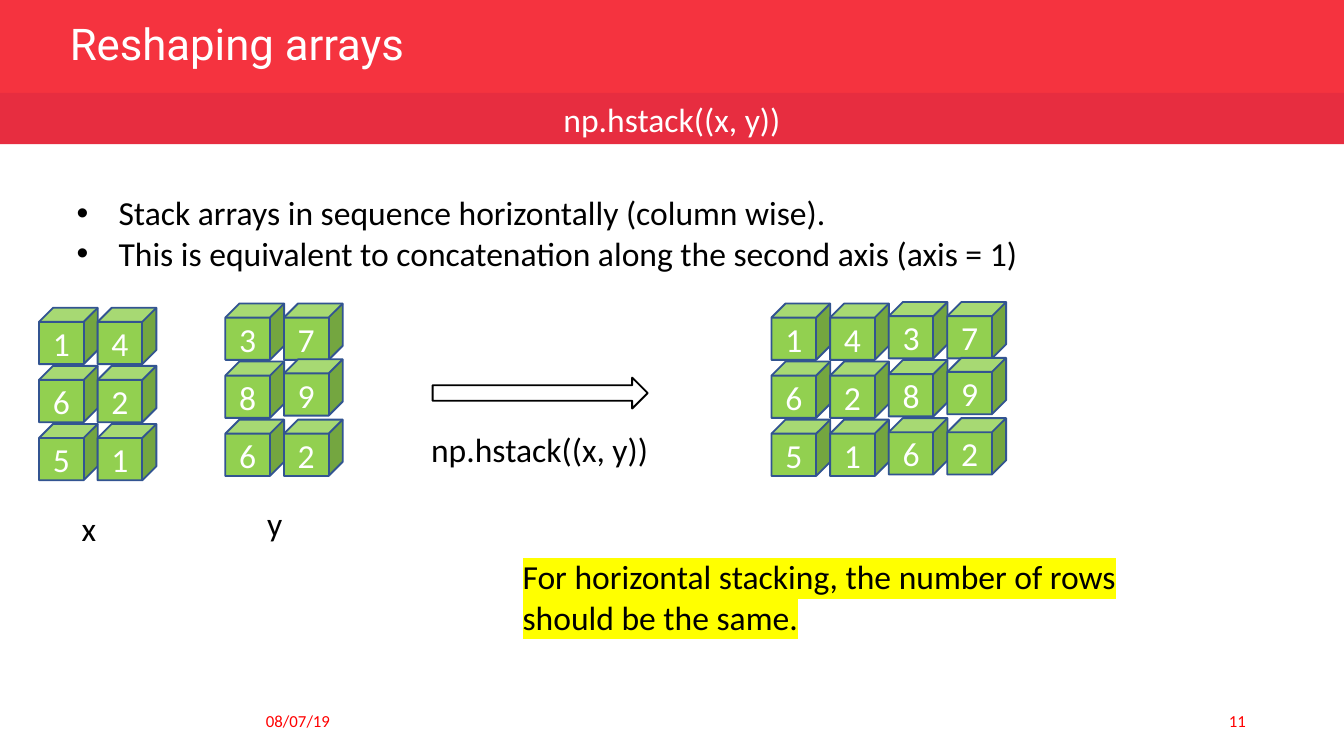
from dataclasses import dataclass

from lxml import etree
from pptx import Presentation
from pptx.dml.color import RGBColor
from pptx.enum.shapes import MSO_SHAPE
from pptx.enum.text import MSO_ANCHOR, MSO_AUTO_SIZE, PP_ALIGN
from pptx.oxml.ns import qn
from pptx.util import Pt

RECTANGLE, CUBE, ARROW = MSO_SHAPE.RECTANGLE, MSO_SHAPE.CUBE, MSO_SHAPE.RIGHT_ARROW
TOP, MIDDLE = MSO_ANCHOR.TOP, MSO_ANCHOR.MIDDLE
LEFT, CENTER, RIGHT = PP_ALIGN.LEFT, PP_ALIGN.CENTER, PP_ALIGN.RIGHT
NO_FIT = MSO_AUTO_SIZE.NONE


@dataclass(frozen=True)
class Theme:
    header: str = "F5333F"
    band: str = "E72D40"
    cube: str = "92D050"
    cube_edge: str = "325491"
    light: str = "FFFFFF"
    dark: str = "000000"
    footer: str = "FF0000"
    marker: str = "FFFF00"
    title_font: str = "Roboto"
    body_font: str = "Calibri"
    title_size: float = 23.4
    body_size: float = 18
    footer_size: float = 9


THEME = Theme()

CUBE_WIDTH, CUBE_HEIGHT = 31.5, 30.2
COLUMN_STEP, ROW_STEP = 31.4, 31.1
X_ROWS = [[1, 4], [6, 2], [5, 1]]
Y_ROWS = [[3, 7], [8, 9], [6, 2]]
Y_LIFTS = {9: 1.2}  # the cube with this number sits slightly above its row


def points(*lengths):
    return [Pt(length) for length in lengths]


def set_all(target, values):
    for name, value in values.items():
        setattr(target, name, value)


def write(shape, lines, color, size=THEME.body_size, font=THEME.body_font,
          align=LEFT, anchor=TOP, **frame_format):
    """Fill a shape with one formatted paragraph per line."""
    frame = shape.text_frame
    frame.text = "\n".join(lines)
    set_all(frame, {"word_wrap": True, "auto_size": NO_FIT,
                    "vertical_anchor": anchor, **frame_format})
    for paragraph in frame.paragraphs:
        set_all(paragraph, {"alignment": align, "space_before": Pt(0)})
        run_font = paragraph.runs[0].font
        set_all(run_font, {"name": font, "size": Pt(size)})
        run_font.color.rgb = RGBColor.from_string(color)
    return frame


def add_block(shapes, kind, box, fill, line=None):
    block = shapes.add_shape(kind, *points(*box))
    block.shadow.inherit = False
    block.fill.solid()
    block.fill.fore_color.rgb = RGBColor.from_string(fill)
    if line:
        block.line.color.rgb = RGBColor.from_string(line)
        block.line.width = Pt(1)
    else:
        block.line.fill.background()
    return block


def add_label(slide, text, box, color=THEME.dark, **text_format):
    label = slide.shapes.add_textbox(*points(*box))
    return write(label, [text], color, **text_format)


def place(placeholder, box):
    set_all(placeholder, dict(zip(("left", "top", "width", "height"), points(*box))))


def add_bullets(frame, indent):
    for paragraph in frame.paragraphs:
        properties = paragraph.runs[0].font and paragraph._p.get_or_add_pPr()
        properties.set("marL", str(Pt(indent)))
        properties.set("indent", str(-Pt(indent)))
        etree.SubElement(properties, qn("a:buFont"), typeface="Arial")
        etree.SubElement(properties, qn("a:buChar"), char="•")


def highlight(frame, color):
    for paragraph in frame.paragraphs:
        properties = paragraph.runs[0]._r.get_or_add_rPr()
        marker = etree.Element(qn("a:highlight"))
        etree.SubElement(marker, qn("a:srgbClr"), val=color)
        properties.find(qn("a:latin")).addprevious(marker)


def add_cubes(group, rows, left, top, lifts):
    """Draw an array as cubes, lifting the numbers listed in lifts."""
    no_margins = dict.fromkeys(
        ("margin_left", "margin_right", "margin_top", "margin_bottom"), 0)
    for row, numbers in enumerate(rows):
        for column, number in enumerate(numbers):
            box = (left + column * COLUMN_STEP,
                   top + row * ROW_STEP - lifts.get(number, 0),
                   CUBE_WIDTH, CUBE_HEIGHT)
            cube = add_block(group.shapes, CUBE, box, THEME.cube, THEME.cube_edge)
            write(cube, [str(number)], THEME.light, align=CENTER, anchor=MIDDLE,
                  **no_margins)


def add_array(slide, *parts):
    """Group the cubes of one array, built from (rows, left, top, lifts) parts."""
    group = slide.shapes.add_group_shape()
    for part in parts:
        add_cubes(group, *part)


def add_header(slide):
    title = slide.shapes.title
    place(title, (30.2, 10, 337.7, 31.7))
    frame = write(title, ["Reshaping arrays"], THEME.light, THEME.title_size,
                  THEME.title_font, anchor=MIDDLE)
    frame.paragraphs[0].line_spacing = 0.8
    header = add_block(slide.shapes, RECTANGLE, (0, 0, 720, 50.4), THEME.header)
    title.element.addprevious(header.element)
    band = add_block(slide.shapes, RECTANGLE, (0, 49.8, 720, 27.4), THEME.band)
    write(band, ["np.hstack((x, y))"], THEME.light, align=CENTER, anchor=MIDDLE)


def add_explanation(slide):
    body = slide.placeholders[1]
    place(body, (33.8, 99.4, 602.6, 51))
    frame = write(body, [
        "Stack arrays in sequence horizontally (column wise).",
        "This is equivalent to concatenation along the second axis (axis = 1)",
    ], THEME.dark)
    add_bullets(frame, 22.5)


def add_stacking(slide):
    add_array(slide, (X_ROWS, 20.9, 164.9, {}))
    add_array(slide, (Y_ROWS, 120.7, 162.6, Y_LIFTS))
    add_array(slide, (X_ROWS, 413.3, 162.6, {}), (Y_ROWS, 476.1, 161.8, Y_LIFTS))
    add_block(slide.shapes, ARROW, (231.8, 202.3, 115.2, 16.6),
              THEME.light, THEME.dark)
    add_label(slide, "x", (36.7, 268.6, 31.7, 29))
    add_label(slide, "y", (136.1, 266, 31.7, 29))
    add_label(slide, "np.hstack((x, y))", (223.9, 226, 144, 51))
    rule = add_label(
        slide, "For horizontal stacking, the number of rows should be the same.",
        (272.9, 294.5, 345.6, 51))
    highlight(rule, THEME.marker)


def add_footer(slide):
    for text, left, align in (("08/07/19", 135.4, LEFT), ("11", 512.6, RIGHT)):
        add_label(slide, text, (left, 375.1, 162, 21.6), THEME.footer,
                  size=THEME.footer_size, align=align, anchor=MIDDLE)


def main():
    deck = Presentation()
    deck.slide_width, deck.slide_height = points(720, 405)
    slide = deck.slides.add_slide(deck.slide_layouts[1])
    add_header(slide)
    add_explanation(slide)
    add_stacking(slide)
    add_footer(slide)
    deck.save("out.pptx")


if __name__ == "__main__":
    main()
